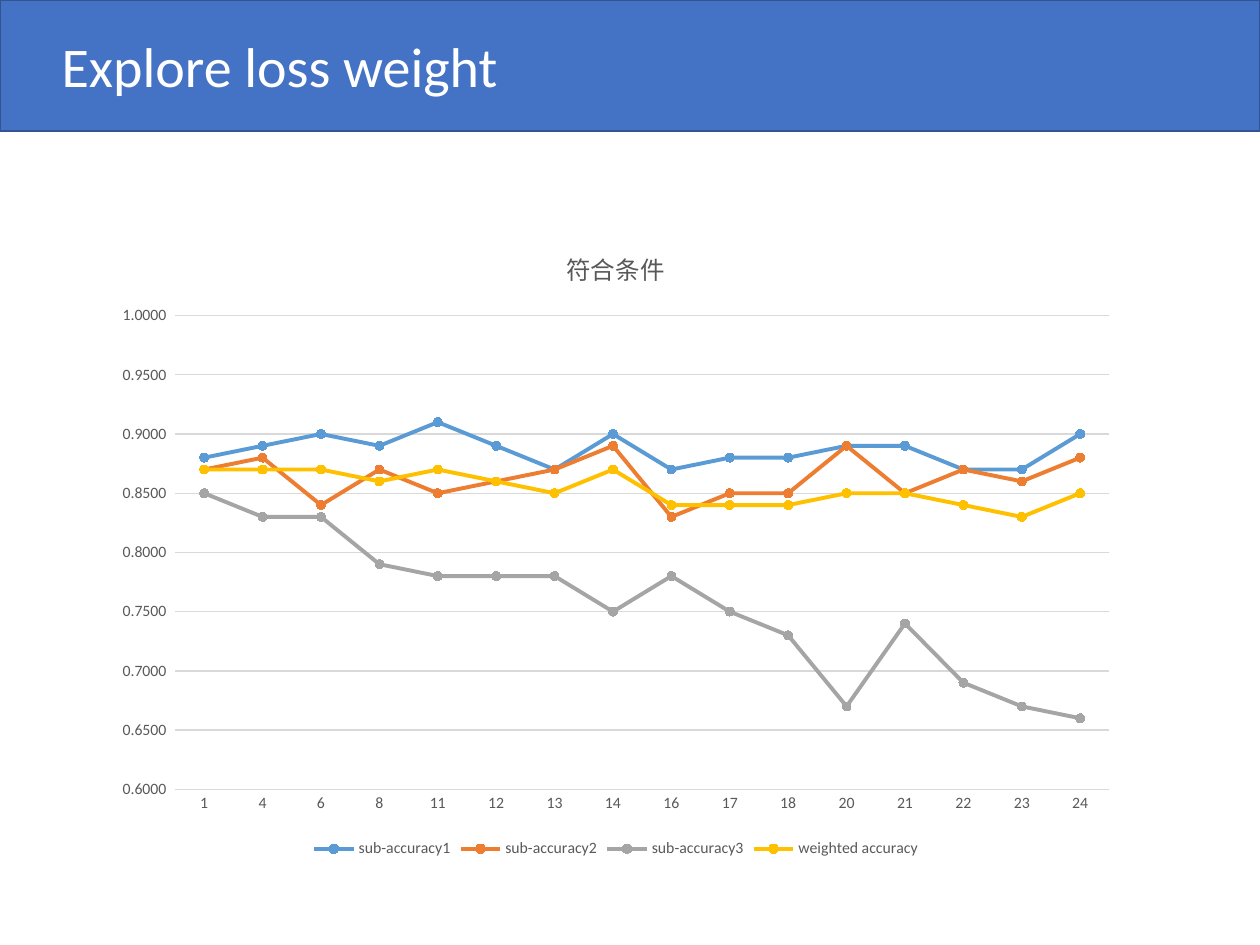
from pptx import Presentation
from pptx.chart.data import CategoryChartData as Data
from pptx.dml.color import RGBColor as RGB
from pptx.enum.chart import XL_CHART_TYPE as Kind, XL_LEGEND_POSITION as Pos
from pptx.enum.chart import XL_MARKER_STYLE as Mark, XL_TICK_MARK as Tick
from pptx.enum.shapes import MSO_SHAPE as Shape
from pptx.enum.text import MSO_ANCHOR as Anchor, MSO_AUTO_SIZE as Fit, PP_ALIGN as Align
from pptx.util import Emu, Pt

FONT = "Calibri"
GRAY, PALE = "595959", "D9D9D9"

CATS = [1, 4, 6, 8, 11, 12, 13, 14, 16, 17, 18, 20, 21, 22, 23, 24]
LINES = [
    ("sub-accuracy1", "5B9BD5",
     [0.88, 0.89, 0.9, 0.89, 0.91, 0.89, 0.87, 0.9,
      0.87, 0.88, 0.88, 0.89, 0.89, 0.87, 0.87, 0.9]),
    ("sub-accuracy2", "ED7D31",
     [0.87, 0.88, 0.84, 0.87, 0.85, 0.86, 0.87, 0.89,
      0.83, 0.85, 0.85, 0.89, 0.85, 0.87, 0.86, 0.88]),
    ("sub-accuracy3", "A5A5A5",
     [0.85, 0.83, 0.83, 0.79, 0.78, 0.78, 0.78, 0.75,
      0.78, 0.75, 0.73, 0.67, 0.74, 0.69, 0.67, 0.66]),
    ("weighted accuracy", "FFC000",
     [0.87, 0.87, 0.87, 0.86, 0.87, 0.86, 0.85, 0.87,
      0.84, 0.84, 0.84, 0.85, 0.85, 0.84, 0.83, 0.85]),
]


def px(n):
    return Emu(round(n * 914400 / 126))


def rgb(code):
    return RGB.from_string(code)


class Deck:
    def __init__(self, wide, high):
        self.prs = Presentation()
        self.prs.slide_width, self.prs.slide_height = px(wide), px(high)
        self.slide = self.prs.slides.add_slide(self.prs.slide_layouts[5])

    def style(self, font, size, color):
        font.name, font.size, font.bold = FONT, Pt(size), False
        font.color.rgb = rgb(color)

    def stroke(self, line, color, width):
        line.color.rgb = rgb(color)
        line.width = Pt(width)

    def bar(self, box, fill, edge):
        bar = self.slide.shapes.add_shape(Shape.RECTANGLE, *map(px, box))
        bar.shadow.inherit = False
        bar.fill.solid()
        bar.fill.fore_color.rgb = rgb(fill)
        self.stroke(bar.line, edge, 1)
        # Keep the band behind the title
        self.slide.shapes.title._element.addprevious(bar._element)

    def title(self, box, text):
        title = self.slide.shapes.title
        title.left, title.top, title.width, title.height = map(px, box)
        frame = title.text_frame
        frame.text = text
        frame.word_wrap = False
        frame.auto_size = Fit.SHAPE_TO_FIT_TEXT
        frame.vertical_anchor = Anchor.TOP
        para = frame.paragraphs[0]
        para.alignment = Align.LEFT
        self.style(para.font, 32, "FFFFFF")

    def chart(self, box, name, cats, lines):
        data = Data()
        data.categories = map(str, cats)
        for label, _, vals in lines:
            data.add_series(label, vals)
        chart = self.slide.shapes.add_chart(
            Kind.LINE_MARKERS, *map(px, box), data).chart
        self.style(chart.font, 10, "000000")

        # Heading and legend
        chart.has_title = True
        head = chart.chart_title.text_frame
        head.text = name
        self.style(head.paragraphs[0].font, 14, GRAY)
        chart.has_legend = True
        chart.legend.position = Pos.BOTTOM
        chart.legend.include_in_layout = False
        self.style(chart.legend.font, 9, GRAY)

        # Axes
        cat, val = chart.category_axis, chart.value_axis
        for axis in (cat, val):
            axis.major_tick_mark = axis.minor_tick_mark = Tick.NONE
            self.style(axis.tick_labels.font, 9, GRAY)
        self.stroke(cat.format.line, PALE, 0.75)
        val.format.line.fill.background()
        val.minimum_scale, val.maximum_scale, val.major_unit = 0.6, 1, 0.05
        val.has_major_gridlines = True
        self.stroke(val.major_gridlines.format.line, PALE, 0.75)
        val.tick_labels.number_format = r"0.0000_);[Red]\(0.0000\)"
        val.tick_labels.number_format_is_linked = False

        # Series
        plot = chart.plots[0]
        plot.vary_by_categories = False
        for row, (_, color, _) in zip(plot.series, lines):
            row.smooth = False
            self.stroke(row.format.line, color, 2.25)
            mark = row.marker
            mark.style, mark.size = Mark.CIRCLE, 5
            mark.format.fill.solid()
            mark.format.fill.fore_color.rgb = rgb(color)
            self.stroke(mark.format.line, color, 0.75)


def main():
    deck = Deck(1260, 945)
    # Header band
    deck.bar((0, 0, 1260, 131), "4472C4", "325491")
    deck.title((49, 25, 466, 81), "Explore loss weight")
    # Accuracy by loss weight
    deck.chart((102, 224, 1028, 639), "符合条件", CATS, LINES)
    deck.prs.save("out.pptx")


if __name__ == "__main__":
    main()
